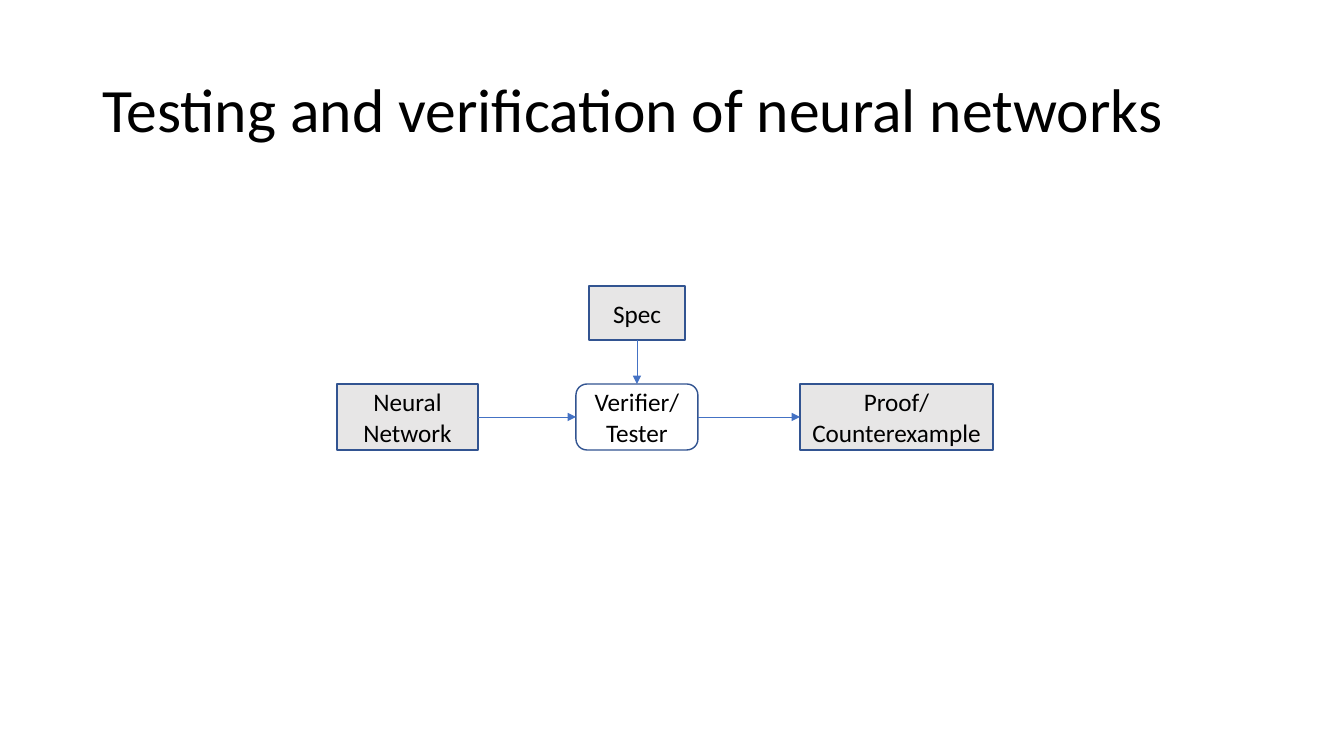
from dataclasses import dataclass

from lxml.etree import SubElement
from pptx import Presentation
from pptx.dml.color import RGBColor
from pptx.enum.shapes import MSO_CONNECTOR as Connector, MSO_SHAPE as Shape
from pptx.enum.text import MSO_ANCHOR as Anchor, PP_ALIGN as Align
from pptx.oxml.ns import qn
from pptx.util import Emu, Pt

PAGE_WIDTH, PAGE_HEIGHT = 1344, 756
EMU_PER_PX = 12192000 / PAGE_WIDTH
TOP, LEFT, BOTTOM, RIGHT = range(4)


@dataclass(frozen=True)
class Theme:
    font: str = "Calibri"
    title_size: Pt = Pt(44)
    label_size: Pt = Pt(18)
    outline_width: Pt = Pt(1)
    arrow_width: Pt = Pt(0.5)
    ink: RGBColor = RGBColor(0x00, 0x00, 0x00)
    artifact: RGBColor = RGBColor(0xE7, 0xE6, 0xE6)
    outline: RGBColor = RGBColor(0x32, 0x54, 0x91)
    arrow: RGBColor = RGBColor(0x44, 0x72, 0xC4)


def px(length):
    return Emu(round(length * EMU_PER_PX))


class Diagram:
    def __init__(self, page, theme):
        self.page = page
        self.theme = theme

    def set_text(self, frame, text, size, align):
        frame.word_wrap = True
        frame.vertical_anchor = Anchor.MIDDLE
        frame.text = text
        for para in frame.paragraphs:
            para.alignment = align
            para.font.name = self.theme.font
            para.font.size = size
            para.font.color.rgb = self.theme.ink

    def title(self, text, left, top, width, height):
        title = self.page.shapes.title
        title.left, title.top = px(left), px(top)
        title.width, title.height = px(width), px(height)
        self.set_text(title.text_frame, text, self.theme.title_size, Align.LEFT)
        title.text_frame.paragraphs[0].line_spacing = 0.9

    def box(self, text, left, top, width, height, kind=Shape.RECTANGLE, fill=None):
        box = self.page.shapes.add_shape(kind, px(left), px(top), px(width), px(height))
        box.shadow.inherit = False
        if fill is None:
            box.fill.background()
        else:
            box.fill.solid()
            box.fill.fore_color.rgb = fill
        box.line.color.rgb = self.theme.outline
        box.line.width = self.theme.outline_width
        self.set_text(box.text_frame, text, self.theme.label_size, Align.CENTER)
        return box

    def arrow(self, source, source_side, target, target_side):
        arrow = self.page.shapes.add_connector(Connector.STRAIGHT, 0, 0, 0, 0)
        arrow.begin_connect(source, source_side)
        arrow.end_connect(target, target_side)
        arrow.line.color.rgb = self.theme.arrow
        arrow.line.width = self.theme.arrow_width
        properties = arrow.element.spPr
        SubElement(properties.find(qn("a:ln")), qn("a:tailEnd"), type="triangle")
        SubElement(properties, qn("a:effectLst"))


def main():
    deck = Presentation()
    deck.slide_width, deck.slide_height = px(PAGE_WIDTH), px(PAGE_HEIGHT)
    theme = Theme()
    diagram = Diagram(deck.slides.add_slide(deck.slide_layouts[5]), theme)
    diagram.title("Testing and verification of neural networks", 92, 40, 1159, 146)

    row_top, row_height = 384, 66
    verifier = diagram.box("Verifier/Tester", 576, row_top, 122, row_height,
                           kind=Shape.ROUNDED_RECTANGLE)
    spec = diagram.box("Spec", 589, 286, 96, 54, fill=theme.artifact)
    network = diagram.box("Neural Network", 337, row_top, 141, row_height,
                          fill=theme.artifact)
    result = diagram.box("Proof/\nCounterexample", 800, row_top, 193, row_height,
                         fill=theme.artifact)

    diagram.arrow(network, RIGHT, verifier, LEFT)
    diagram.arrow(spec, BOTTOM, verifier, TOP)
    diagram.arrow(verifier, RIGHT, result, LEFT)
    deck.save("out.pptx")


if __name__ == "__main__":
    main()
